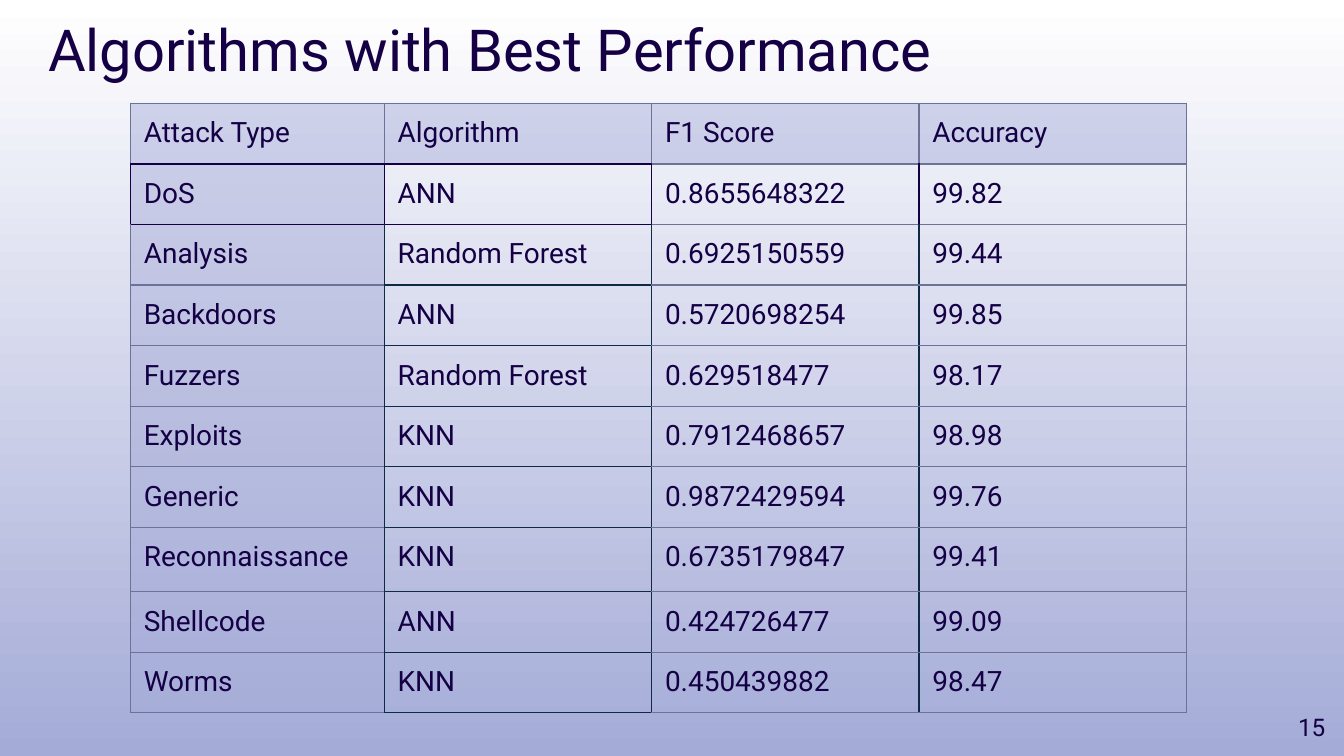
import pptx
import pptx.dml.color
import pptx.enum.text
import pptx.oxml.ns
import pptx.util
from lxml import etree

TITLE = "Algorithms with Best Performance"
PAGE_NUMBER = "15"
RESULTS = [
    ("Attack Type", "Algorithm", "F1 Score", "Accuracy"),
    ("DoS", "ANN", "0.8655648322", "99.82"),
    ("Analysis", "Random Forest", "0.6925150559", "99.44"),
    ("Backdoors", "ANN", "0.5720698254", "99.85"),
    ("Fuzzers", "Random Forest", "0.629518477", "98.17"),
    ("Exploits", "KNN", "0.7912468657", "98.98"),
    ("Generic", "KNN", "0.9872429594", "99.76"),
    ("Reconnaissance", "KNN", "0.6735179847", "99.41"),
    ("Shellcode", "ANN", "0.424726477", "99.09"),
    ("Worms", "KNN", "0.450439882", "98.47"),
]
COLORS = {"white": "FFFFFF", "lavender": "A4ABD7", "ink": "150045",
          "slate": "6D7396", "navy": "0E2A47"}
FONT = "Roboto"
COLUMN_WIDTHS = [136, 143.25, 143.25, 143.25]
ROW_HEIGHT = 30.24
TALL_ROWS = {"Reconnaissance": 34.56}
DARK_SIDES = ["R", "LRTB", "LR", "L"]
INSET = 7.2

Pt = pptx.util.Pt


def rgb(name):
    return pptx.dml.color.RGBColor.from_string(COLORS[name])


def write(frame, text, size, align=pptx.enum.text.PP_ALIGN.LEFT):
    frame.text = text
    para = frame.paragraphs[0]
    para.alignment = align
    font = para.runs[0].font
    font.name, font.size = FONT, Pt(size)
    font.color.rgb = rgb("ink")


def add_text(page, text, size, left, top, width, height, anchor, align):
    box = page.shapes.add_textbox(Pt(left), Pt(top), Pt(width), Pt(height))
    frame = box.text_frame
    frame.word_wrap = True
    frame.vertical_anchor = anchor
    frame.margin_left = frame.margin_right = Pt(INSET)
    frame.margin_top = frame.margin_bottom = Pt(INSET)
    write(frame, text, size, align)


def border_color(row, column, side):
    if row == 0:
        return "ink" if side == "B" and column < 2 else "slate"
    if row == 2 and side == "T" and column < 2:
        return "ink"
    dark_sides = "LRTB" if (row, column) == (1, 0) else DARK_SIDES[column]
    if side not in dark_sides:
        return "slate"
    return "ink" if row == 1 else "navy"


def add_child(parent, tag, **attributes):
    return etree.SubElement(parent, pptx.oxml.ns.qn(tag), **attributes)


def style_cell(cell, row, column):
    cell.margin_left = cell.margin_right = Pt(INSET)
    cell.margin_top = cell.margin_bottom = Pt(INSET)
    properties = cell._tc.get_or_add_tcPr()
    for side in "LRTB":
        line = add_child(properties, "a:ln" + side, w=str(Pt(0.75)))
        fill = add_child(line, "a:solidFill")
        add_child(fill, "a:srgbClr", val=COLORS[border_color(row, column, side)])
    if row == 0 or column == 0:
        fill = add_child(properties, "a:solidFill")
        color = add_child(fill, "a:srgbClr", val=COLORS["lavender"])
        add_child(color, "a:alpha", val="48000")
    else:
        add_child(properties, "a:noFill")


def add_results(page):
    heights = [TALL_ROWS.get(record[0], ROW_HEIGHT) for record in RESULTS]
    table = page.shapes.add_table(
        len(RESULTS), len(COLUMN_WIDTHS), Pt(69.84), Pt(55.44),
        Pt(sum(COLUMN_WIDTHS)), Pt(sum(heights))).table
    table.first_row = table.horz_banding = False
    for column, width in zip(table.columns, COLUMN_WIDTHS):
        column.width = Pt(width)
    for row, height in zip(table.rows, heights):
        row.height = Pt(height)
    for row, record in enumerate(RESULTS):
        for column, text in enumerate(record):
            cell = table.cell(row, column)
            write(cell.text_frame, text, 15)
            style_cell(cell, row, column)


def main():
    deck = pptx.Presentation()
    deck.slide_width, deck.slide_height = Pt(720), Pt(405)
    page = deck.slides.add_slide(deck.slide_layouts[6])
    backdrop = page.background.fill
    backdrop.gradient()
    backdrop.gradient_angle = 270
    for stop, name in zip(backdrop.gradient_stops, ("white", "lavender")):
        stop.color.rgb = rgb(name)
    anchors, aligns = pptx.enum.text.MSO_ANCHOR, pptx.enum.text.PP_ALIGN
    add_text(page, TITLE, 31, 18.72, 0, 530.64, 48.24, anchors.TOP, aligns.LEFT)
    add_results(page)
    add_text(page, PAGE_NUMBER, 13, 673.92, 373.68, 43.2, 30.96,
             anchors.MIDDLE, aligns.RIGHT)
    deck.save("out.pptx")


if __name__ == "__main__":
    main()
